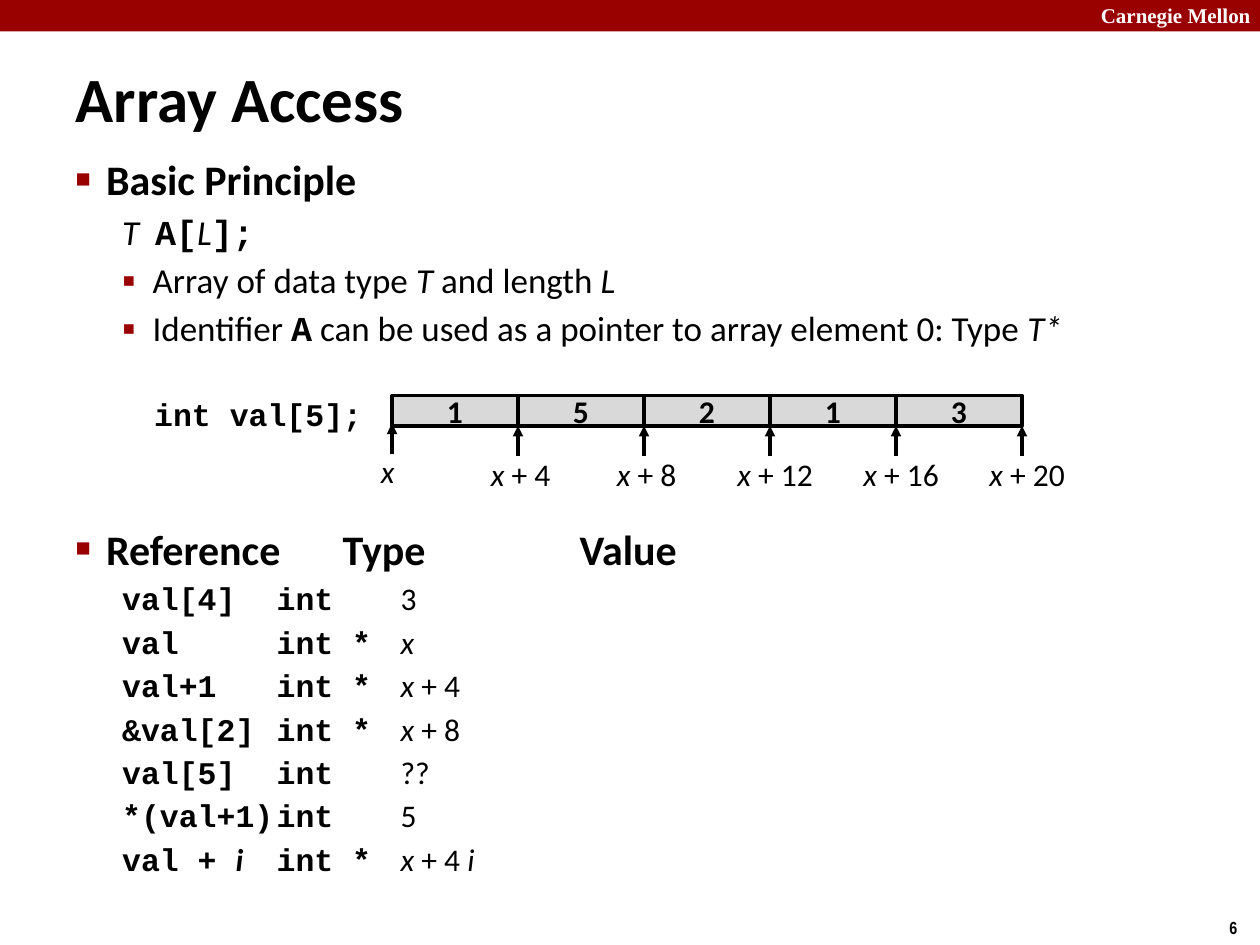
"""Builds the Array Access slide on pointer arithmetic."""
from dataclasses import dataclass, field
from itertools import groupby

from lxml import etree
from pptx import Presentation
from pptx import util as u
from pptx.dml.color import RGBColor
from pptx.enum import shapes, text
from pptx.oxml.ns import qn

Pt = u.Pt
LEFT, CENTER, RIGHT = text.PP_ALIGN.LEFT, text.PP_ALIGN.CENTER, text.PP_ALIGN.RIGHT


@dataclass
class Theme:
    red: RGBColor = RGBColor(0x99, 0, 0)
    ink: RGBColor = RGBColor(0, 0, 0)
    paper: RGBColor = RGBColor(255, 255, 255)
    cell: RGBColor = RGBColor(0xD9, 0xD9, 0xD9)
    title: int = 36
    heading: int = 24
    body: int = 20
    detail: int = 18
    brand: int = 12
    page: int = 10
    space: float = 0.18
    styles: dict = field(default_factory=lambda: {
        "plain": dict(name="Calibri", bold=False, italic=False),
        "var": dict(name="Calibri", bold=False, italic=True),
        "strong": dict(name="Calibri", bold=True, italic=False),
        "strongvar": dict(name="Calibri", bold=True, italic=True),
        "code": dict(name="Courier New", bold=True, italic=False),
        "brand": dict(name="Times New Roman", bold=True, italic=False),
        "page": dict(name="Arial Narrow", bold=True, italic=False),
    })


THEME = Theme()
BULLETS = {0: ("■", 60), 1: ("▪", 110)}
INDENTS = {0: 17.4, 1: 44}
HANGING = 17.4
TAB_STOPS = (152.6, 288)
DEFAULT_TAB = 70.87

PRINCIPLE = [
    (0, True, [("Basic Principle", "strong")]),
    (1, False, [("T  ", "var"), ("A[", "code"), ("L", "var"), ("];", "code")]),
    (1, True, [("Array of data type ", "plain"), ("T", "var"),
               (" and length ", "plain"), ("L", "var")]),
    (1, True, [("Identifier ", "plain"), ("A", "code"),
               (" can be used as a pointer to array element 0: Type ", "plain"),
               ("T*", "var")]),
]
REFERENCES = [
    ([("val[4]\t", "code")], "int", "3"),
    ([("val\t", "code")], "int *", "x"),
    ([("val+1\t", "code")], "int *", "x + 4"),
    ([("&val[2]\t", "code")], "int *", "x + 8"),
    ([("val[5]\t", "code")], "int", "??"),
    ([("*(val+1)\t", "code")], "int", "5"),
    ([("val + ", "code"), ("i\t", "strongvar")], "int *", "x + 4 i"),
]
ELEMENTS = ("1", "5", "2", "1", "3")
ADDRESSES = [("x", -2.5, -1.4), ("x + 4", 1.5, 0), ("x + 8", 1.5, 0),
             ("x + 12", 3, 0), ("x + 16", 3, 0), ("x + 20", 3, 0)]
ARRAY_LEFT, ARRAY_TOP, CELL_WIDTH, CELL_HEIGHT = 224, 226, 72, 17.4


def apply(target, values):
    """Set every named attribute of the target."""
    for name, value in values.items():
        setattr(target, name, value)


def math_runs(expression):
    """Split an address expression into italic variables and upright text."""
    return [("".join(part), "var" if is_variable else "plain")
            for is_variable, part in groupby(expression, lambda c: c in "xi")]


def write_runs(paragraph, runs, size, color=THEME.ink):
    """Fill a paragraph with styled runs."""
    for wording, style in runs:
        run = paragraph.add_run()
        run.text = wording
        apply(run.font, THEME.styles[style] | {"size": Pt(size)})
        run.font.color.rgb = color


def add_label(slide, box, runs, size, align=LEFT, color=THEME.ink):
    """Add a one-line text box."""
    label = slide.shapes.add_textbox(*map(Pt, box))
    label.text_frame.word_wrap = True
    paragraph = label.text_frame.paragraphs[0]
    paragraph.alignment = align
    write_runs(paragraph, runs, size, color)


def add_block(slide, box, fill, line=None):
    """Add a flat rectangle, outlined when a line colour is given."""
    block = slide.shapes.add_shape(shapes.MSO_SHAPE.RECTANGLE, *map(Pt, box))
    block.shadow.inherit = False
    block.fill.solid()
    block.fill.fore_color.rgb = fill
    if line is None:
        block.line.fill.background()
    else:
        block.line.color.rgb = line
        block.line.width = Pt(2)
    return block


def add_cell(slide, index, value):
    """Add one array element with its value."""
    box = (ARRAY_LEFT + index * CELL_WIDTH, ARRAY_TOP, CELL_WIDTH, CELL_HEIGHT)
    frame = add_block(slide, box, THEME.cell, THEME.ink).text_frame
    apply(frame, dict(word_wrap=False, vertical_anchor=text.MSO_ANCHOR.MIDDLE,
                      margin_top=0, margin_bottom=0))
    frame.paragraphs[0].alignment = CENTER
    write_runs(frame.paragraphs[0], [(value, "strong")], THEME.detail)


def add_address(slide, index, address, shift_x, shift_y):
    """Add an arrow to a cell boundary and the address below it."""
    edge = ARRAY_LEFT + index * CELL_WIDTH
    tip = ARRAY_TOP + CELL_HEIGHT + shift_y
    arrow = slide.shapes.add_connector(
        shapes.MSO_CONNECTOR.STRAIGHT, Pt(edge), Pt(tip + 17.4), Pt(edge), Pt(tip))
    arrow.line.color.rgb = THEME.ink
    arrow.line.width = Pt(2)
    etree.SubElement(arrow.line._get_or_add_ln(), qn("a:tailEnd"), type="triangle")
    etree.SubElement(arrow._element.spPr, qn("a:effectLst"))
    box = (edge + shift_x - 39, tip + 13, 78, 29)
    add_label(slide, box, math_runs(address), THEME.detail, CENTER)


def add_item(frame, level, bulleted, runs, size, space=None):
    """Append a list paragraph with its indent, bullet and tab stops."""
    first = not frame.paragraphs[0].runs
    paragraph = frame.paragraphs[0] if first else frame.add_paragraph()
    if space is None:
        space = 0 if first else size * THEME.space
    apply(paragraph, dict(level=level, alignment=LEFT, space_before=Pt(space)))
    properties = paragraph._p.get_or_add_pPr()
    for name, value in (("marL", INDENTS[level]), ("indent", -HANGING),
                        ("defTabSz", DEFAULT_TAB)):
        properties.set(name, str(Pt(value)))
    if bulleted:
        symbol, percent = BULLETS[level]
        color = etree.SubElement(properties, qn("a:buClr"))
        etree.SubElement(color, qn("a:srgbClr"), val=str(THEME.red))
        etree.SubElement(properties, qn("a:buSzPct"), val=str(percent * 1000))
        etree.SubElement(properties, qn("a:buChar"), char=symbol)
    else:
        etree.SubElement(properties, qn("a:buNone"))
    tabs = etree.SubElement(properties, qn("a:tabLst"))
    for stop in TAB_STOPS:
        etree.SubElement(tabs, qn("a:tab"), pos=str(Pt(stop)), algn="l")
    write_runs(paragraph, runs, size)


def place(placeholder, box, anchor):
    """Move a placeholder and return its prepared text frame."""
    apply(placeholder, dict(zip(("left", "top", "width", "height"), map(Pt, box))))
    frame = placeholder.text_frame
    apply(frame, dict(word_wrap=True, auto_size=text.MSO_AUTO_SIZE.NONE,
                      vertical_anchor=anchor))
    return frame


def main():
    """Build and save the slide."""
    deck = Presentation()
    deck.slide_width, deck.slide_height = Pt(720), Pt(540)
    slide = deck.slides.add_slide(deck.slide_layouts[1])

    add_block(slide, (0, 0, 720, 18), THEME.red)
    add_label(slide, (622, -2, 103, 21.6), [("Carnegie Mellon", "brand")],
              THEME.brand, color=THEME.paper)
    add_label(slide, (695.5, 520.5, 24.5, 19.5), [("6", "page")], THEME.page)

    title = place(slide.shapes.title, (36, 33, 438, 45.4), text.MSO_ANCHOR.MIDDLE)
    title.paragraphs[0].alignment = LEFT
    write_runs(title.paragraphs[0], [("Array Access", "strong")], THEME.title)

    body = place(slide.placeholders[1], (36, 84.2, 635, 450), text.MSO_ANCHOR.TOP)
    for level, bulleted, runs in PRINCIPLE:
        add_item(body, level, bulleted, runs, THEME.body if level else THEME.heading)
    add_item(body, 0, True, [("Reference\tType\tValue", "strong")], THEME.heading, 99.5)
    for reference, kind, value in REFERENCES:
        runs = reference + [(kind + "\t", "code")] + math_runs(value)
        add_item(body, 1, False, runs, THEME.detail)

    add_label(slide, (80, 222, 134, 29), [("int val[5];", "code")], THEME.detail, RIGHT)
    for index, value in enumerate(ELEMENTS):
        add_cell(slide, index, value)
    for index, (address, shift_x, shift_y) in enumerate(ADDRESSES):
        add_address(slide, index, address, shift_x, shift_y)
    deck.save("out.pptx")


if __name__ == "__main__":
    main()
